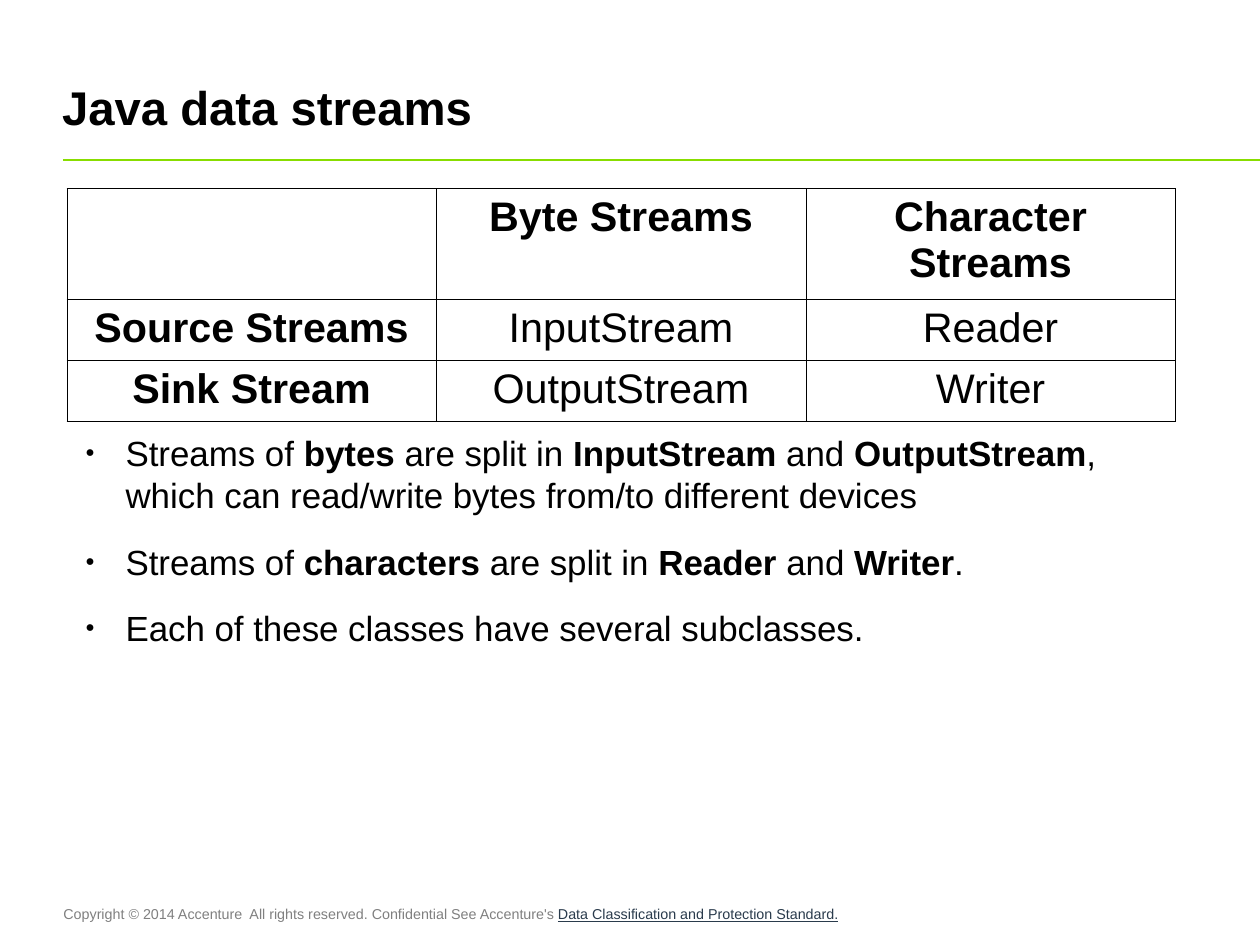
import lxml.etree
import pptx
import pptx.dml.color
import pptx.enum.shapes
import pptx.enum.text
import pptx.oxml
import pptx.oxml.ns
import pptx.util

Cm = pptx.util.Cm
Pt = pptx.util.Pt
qn = pptx.oxml.ns.qn
PP_ALIGN = pptx.enum.text.PP_ALIGN
ANCHOR = pptx.enum.text.MSO_ANCHOR
AUTO_SIZE = pptx.enum.text.MSO_AUTO_SIZE

HEADING = "Java data streams"
STREAM_CLASSES = [
    ["", "Byte Streams", "Character Streams"],
    ["Source Streams", "InputStream", "Reader"],
    ["Sink Stream", "OutputStream", "Writer"],
]
REMARKS = [
    [("Streams of ", False), ("bytes", True), (" are split in ", False),
     ("InputStream", True), (" and ", False), ("OutputStream", True),
     (", which can read/write bytes from/to different devices", False)],
    [("Streams of ", False), ("characters", True), (" are split in ", False),
     ("Reader", True), (" and ", False), ("Writer", True), (".", False)],
    [("Each of these classes have several subclasses.", False)],
]
COPYRIGHT = [
    ("Copyright © 2014 Accenture  All rights reserved. Confidential See Accenture's ",
     {"color": "808080"}),
    ("Data Classification and Protection Standard.",
     {"color": "2A3B4C", "underline": True}),
]
FONT = "Arial"
BLACK, GREEN = "000000", "88DD00"
SLIDE_WIDTH, SLIDE_HEIGHT = 28, 21
COLUMN_WIDTH = 8.21
ROW_HEIGHTS = [2.32, 1.29, 1.29]
CELL_SIZE = 26
TABLE_WIDTH = COLUMN_WIDTH * len(STREAM_CLASSES[0])
NO_MARGINS = {"margin_left": 0, "margin_right": 0, "margin_top": 0,
              "margin_bottom": 0, "word_wrap": True, "auto_size": AUTO_SIZE.NONE}


def paint(color_format, hex_color):
    color_format.rgb = pptx.dml.color.RGBColor.from_string(hex_color)


def apply(target, values):
    for attribute, value in values.items():
        setattr(target, attribute, value)


def place(part, left, top, width, height):
    apply(part, {"left": Cm(left), "top": Cm(top),
                 "width": Cm(width), "height": Cm(height)})


def write(paragraph, words, size, color=BLACK, **values):
    run = paragraph.add_run()
    run.text = words
    apply(run.font, {"name": FONT, "size": Pt(size), **values})
    paint(run.font.color, color)


def add_bullet(paragraph):
    properties = paragraph._p.get_or_add_pPr()
    properties.set("marL", str(Cm(1.19)))
    properties.set("indent", str(Cm(-0.89)))
    color = lxml.etree.SubElement(properties, qn("a:buClr"))
    lxml.etree.SubElement(color, qn("a:srgbClr"), val=BLACK)
    lxml.etree.SubElement(properties, qn("a:buSzPct"), val="45000")
    lxml.etree.SubElement(properties, qn("a:buChar"), char="●")


def add_borders(cell):
    properties = cell._tc.get_or_add_tcPr()
    for position, side in enumerate(["lnL", "lnR", "lnT", "lnB"]):
        border = properties.makeelement(qn("a:" + side), {"w": str(Pt(0.57))})
        fill = lxml.etree.SubElement(border, qn("a:solidFill"))
        lxml.etree.SubElement(fill, qn("a:srgbClr"), val=BLACK)
        properties.insert(position, border)


def set_end_font(paragraph, size):
    end = lxml.etree.SubElement(paragraph._p, qn("a:endParaRPr"), sz=str(size * 100))
    for script in ["latin", "ea", "cs"]:
        lxml.etree.SubElement(end, qn("a:" + script), typeface=FONT)


def add_heading(slide):
    heading = slide.shapes.title
    place(heading, 1.38, 1.17, 26.62, 2.41)
    apply(heading.text_frame, {**NO_MARGINS, "vertical_anchor": ANCHOR.MIDDLE})
    paragraph = heading.text_frame.paragraphs[0]
    paragraph.alignment = PP_ALIGN.LEFT
    write(paragraph, HEADING, 29.8, bold=True)


def add_rule(slide):
    rule = slide.shapes.add_connector(
        pptx.enum.shapes.MSO_CONNECTOR.STRAIGHT,
        Cm(1.4), Cm(3.55), Cm(SLIDE_WIDTH), Cm(3.55))
    rule.line.width = Pt(1)
    paint(rule.line.color, GREEN)
    lxml.etree.SubElement(rule._element.spPr, qn("a:effectLst"))


def add_stream_classes(slide):
    table = slide.shapes.add_table(
        len(STREAM_CLASSES), len(STREAM_CLASSES[0]), Cm(1.49), Cm(4.19),
        Cm(TABLE_WIDTH), Cm(sum(ROW_HEIGHTS))).table
    apply(table, {"first_row": False, "horz_banding": False})
    for column in table.columns:
        column.width = Cm(COLUMN_WIDTH)
    for r, (labels, height) in enumerate(zip(STREAM_CLASSES, ROW_HEIGHTS)):
        table.rows[r].height = Cm(height)
        for c, label in enumerate(labels):
            cell = table.cell(r, c)
            cell.fill.background()
            add_borders(cell)
            paragraph = cell.text_frame.paragraphs[0]
            paragraph.alignment = PP_ALIGN.CENTER
            if label:
                write(paragraph, label, CELL_SIZE, bold=r == 0 or c == 0)
            set_end_font(paragraph, CELL_SIZE)


def add_remarks(slide):
    remarks = slide.placeholders[1]
    place(remarks, 1.6, 9.59, TABLE_WIDTH, 9.9)
    frame = remarks.text_frame
    apply(frame, NO_MARGINS)
    for number, remark in enumerate(REMARKS):
        paragraph = frame.add_paragraph() if number else frame.paragraphs[0]
        add_bullet(paragraph)
        apply(paragraph, {"space_before": Pt(0), "space_after": Pt(15.6)})
        for words, bold in remark:
            write(paragraph, words, 22, bold=bold)


def add_copyright(slide):
    notice = slide.shapes.add_textbox(Cm(1.16), Cm(19.99), Cm(25.55), Cm(0.64))
    notice.text_frame.word_wrap = True
    for words, look in COPYRIGHT:
        write(notice.text_frame.paragraphs[0], words, 9, **look)


def main():
    deck = pptx.Presentation()
    apply(deck, {"slide_width": Cm(SLIDE_WIDTH), "slide_height": Cm(SLIDE_HEIGHT)})
    slide = deck.slides.add_slide(deck.slide_layouts[1])
    for add_part in [add_rule, add_copyright, add_heading, add_remarks,
                     add_stream_classes]:
        add_part(slide)
    deck.save("out.pptx")


if __name__ == "__main__":
    main()
